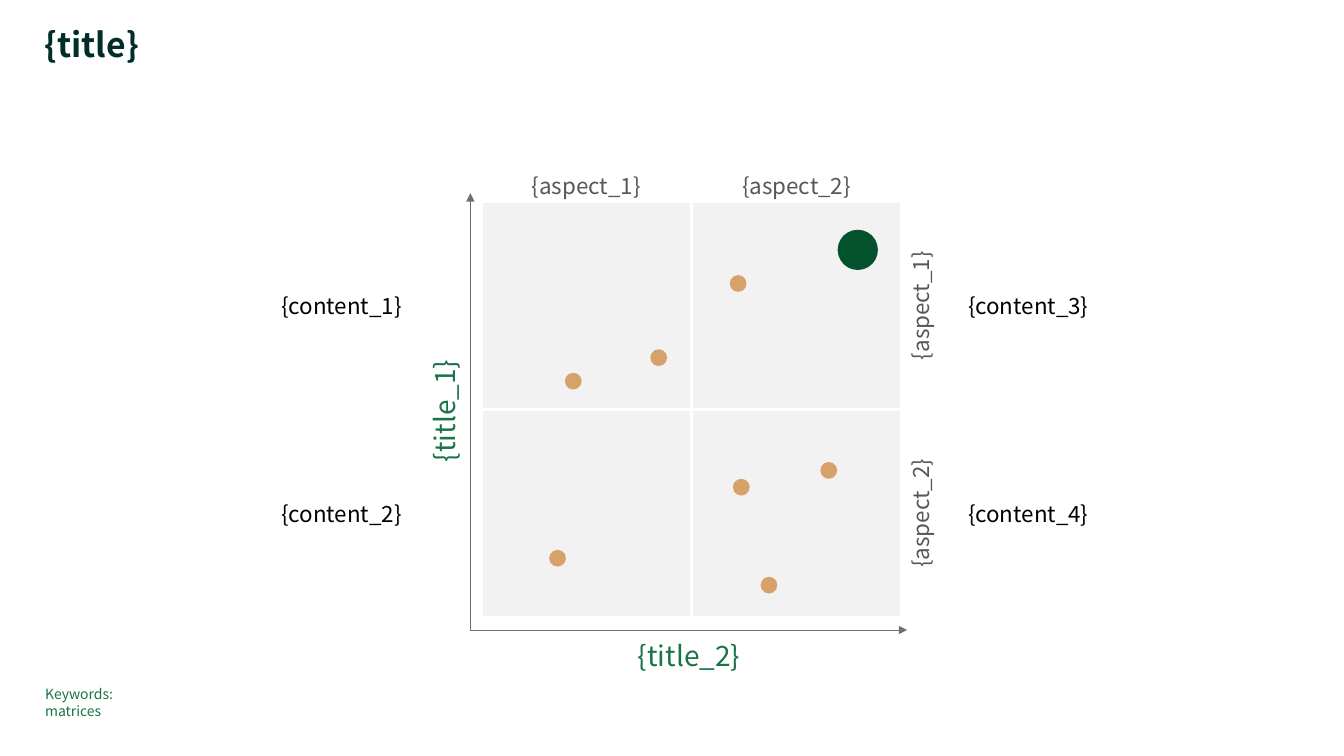
"""Build a two-by-two matrix slide with labelled axes, quadrants and dots."""
from lxml.etree import SubElement
from pptx import Presentation
from pptx.dml.color import RGBColor
from pptx.enum.shapes import MSO_SHAPE as Preset
from pptx.enum.text import MSO_ANCHOR as Anchor, MSO_AUTO_SIZE as AutoSize, PP_ALIGN as Align
from pptx.oxml.ns import qn
from pptx.util import Pt

FONT = "Noto Sans CJK JP"
TITLE_GREEN = RGBColor(0x00, 0x2D, 0x28)
AXIS_GREEN = RGBColor(0x1A, 0x74, 0x49)
DOT_GREEN = RGBColor(0x03, 0x52, 0x2D)
DOT_TAN = RGBColor(0xD6, 0xA2, 0x6A)
AXIS_GRAY = RGBColor(0x6E, 0x6F, 0x73)
LABEL_GRAY = RGBColor(0x57, 0x57, 0x57)
CELL_GRAY = RGBColor(0xF2, 0xF2, 0xF2)
BLACK = RGBColor(0x00, 0x00, 0x00)

CELL_WIDTH, CELL_HEIGHT = 147.5, 145.5
COLUMNS = (345, 495.25)
ROWS = (145.5, 293.75)
AXIS_LEFT, AXIS_TOP, AXIS_LENGTH = 336.25, 137.5, 312
LABEL_SIZE = 19.5


def format_text(shape, text, size, color, align=Align.CENTER, anchor=Anchor.MIDDLE, inset=0):
    frame = shape.text_frame
    frame.text = text
    frame.word_wrap = True
    frame.vertical_anchor = anchor
    frame.margin_left = frame.margin_right = Pt(inset)
    frame.margin_top = frame.margin_bottom = Pt(inset / 2)
    paragraph = frame.paragraphs[0]
    paragraph.alignment = align
    for run in paragraph.runs:
        run.font.name = FONT
        run.font.size = Pt(size)
        run.font.color.rgb = color
    return frame


def add_label(left, top, width, height, *text_format, vertical=False, **options):
    box = slide.shapes.add_textbox(Pt(left), Pt(top), Pt(width), Pt(height))
    frame = format_text(box, *text_format, **options)
    if vertical:
        box.text_frame._txBody.bodyPr.set("vert", "vert270")
    return frame


presentation = Presentation()
presentation.slide_width, presentation.slide_height = Pt(960), Pt(540)
slide = presentation.slides.add_slide(presentation.slide_layouts[5])

title = slide.shapes.title
title.left, title.top, title.width, title.height = Pt(32), Pt(20), Pt(794), Pt(26.5)
title_frame = format_text(title, "{title}", 24, TITLE_GREEN, Align.LEFT, Anchor.TOP)
title_frame.auto_size = AutoSize.SHAPE_TO_FIT_TEXT
title_frame.paragraphs[0].line_spacing = 0.9
title_frame.paragraphs[0].runs[0].font.bold = True

add_label(307.5, AXIS_TOP, LABEL_SIZE, AXIS_LENGTH, "{title_1}", 20, AXIS_GREEN, vertical=True)
add_label(AXIS_LEFT, 458, AXIS_LENGTH, LABEL_SIZE, "{title_2}", 20, AXIS_GREEN)

axis_bottom = AXIS_TOP + AXIS_LENGTH
builder = slide.shapes.build_freeform(AXIS_LEFT, AXIS_TOP, scale=Pt(1))
builder.add_line_segments(
    [(AXIS_LEFT, axis_bottom), (AXIS_LEFT + AXIS_LENGTH, axis_bottom)], close=False)
axes = builder.convert_to_shape()
axes.shadow.inherit = False
axes.fill.background()
axes.line.color.rgb = AXIS_GRAY
axes.line.width = Pt(0.5)
for end in ("a:headEnd", "a:tailEnd"):
    SubElement(axes.line._get_or_add_ln(), qn(end), type="triangle")

for top in ROWS:
    for left in COLUMNS:
        cell = slide.shapes.add_shape(
            Preset.RECTANGLE, Pt(left), Pt(top), Pt(CELL_WIDTH), Pt(CELL_HEIGHT))
        cell.shadow.inherit = False
        cell.fill.solid()
        cell.fill.fore_color.rgb = CELL_GRAY
        cell.line.color.rgb = CELL_GRAY
        cell.line.width = Pt(0.5)

for number, (left, top) in enumerate(zip(COLUMNS, ROWS), 1):
    aspect = f"{{aspect_{number}}}"
    add_label(left, 123, CELL_WIDTH, LABEL_SIZE, aspect, 16, LABEL_GRAY)
    add_label(648, top, LABEL_SIZE, CELL_HEIGHT, aspect, 16, LABEL_GRAY, vertical=True)
    for left, index, align in ((89.5, number, Align.RIGHT), (687.5, number + 2, Align.LEFT)):
        add_label(left, top, 201.5, CELL_HEIGHT, f"{{content_{index}}}", 16, BLACK,
                  align=align, inset=4)

DOTS = [
    (612.75, 178.5, 28.75, DOT_GREEN),
    (529.5, 348, 12, DOT_TAN),
    (409.5, 272.25, 12, DOT_TAN),
    (549.25, 418, 12, DOT_TAN),
    (527.25, 202.5, 12, DOT_TAN),
    (470.5, 255.5, 12, DOT_TAN),
    (398.25, 398.75, 12, DOT_TAN),
    (592, 336, 12, DOT_TAN),
]
for center_x, center_y, diameter, color in DOTS:
    dot = slide.shapes.add_shape(
        Preset.OVAL, Pt(center_x - diameter / 2), Pt(center_y - diameter / 2),
        Pt(diameter), Pt(diameter))
    dot.shadow.inherit = False
    dot.fill.solid()
    dot.fill.fore_color.rgb = color
    dot.line.fill.background()

keywords = add_label(32.25, 489.5, 88, 12.25, "Keywords:\vmatrices", 10, AXIS_GREEN,
                     align=Align.LEFT, anchor=Anchor.TOP)
keywords.word_wrap = False
keywords.auto_size = AutoSize.SHAPE_TO_FIT_TEXT
keywords.paragraphs[0].space_after = Pt(1.1)

presentation.save("out.pptx")
